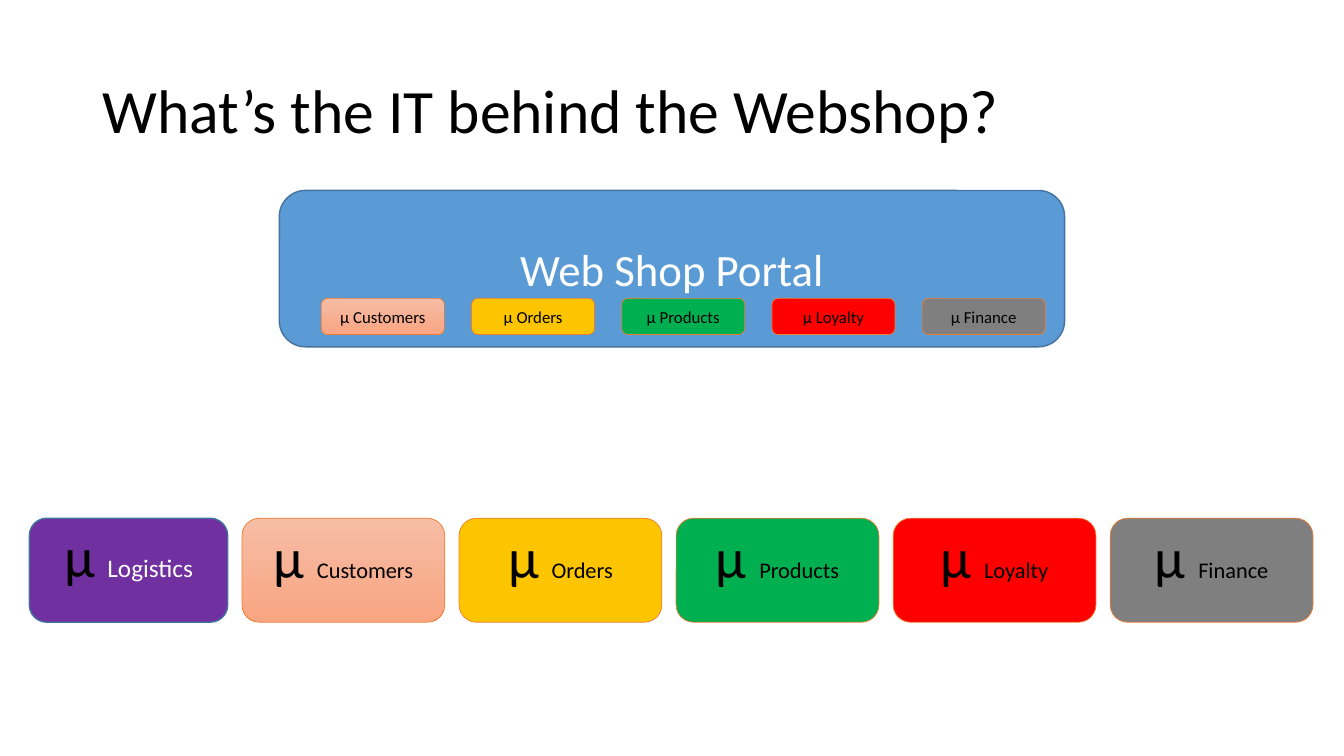
"""Build the slide on the IT services behind the webshop."""
from pptx import Presentation
from pptx.dml.color import RGBColor
from pptx.enum.shapes import MSO_SHAPE
from pptx.enum.text import MSO_ANCHOR, MSO_AUTO_SIZE, PP_ALIGN
from pptx.util import Cm, Pt


def add_span(para, text, size, color):
    span = para.add_run()
    span.text = text
    for name, value in {"name": "Calibri", "size": Pt(size), "bold": False}.items():
        setattr(span.font, name, value)
    span.font.color.rgb = RGBColor.from_string(color)


def add_box(page, place, fills, outline, spans, lift=0):
    box = page.shapes.add_shape(MSO_SHAPE.ROUNDED_RECTANGLE, *[Cm(length) for length in place])
    box.shadow.inherit = False
    if len(fills) == 1:
        box.fill.solid()
        box.fill.fore_color.rgb = RGBColor.from_string(fills[0])
    else:
        box.fill.gradient()
        box.fill.gradient_angle = 270
        for stop, color in zip(box.fill.gradient_stops, fills):
            stop.color.rgb = RGBColor.from_string(color)
    line_color, line_width = outline
    box.line.color.rgb = RGBColor.from_string(line_color)
    box.line.width = Pt(line_width)
    frame_format = {
        "word_wrap": True,
        "vertical_anchor": MSO_ANCHOR.MIDDLE,
        "margin_top": Cm(0 if lift else 0.13),
        "margin_bottom": Cm(lift or 0.13),
    }
    for name, value in frame_format.items():
        setattr(box.text_frame, name, value)
    para = box.text_frame.paragraphs[0]
    para.alignment = PP_ALIGN.CENTER
    for span in spans:
        add_span(para, *span)


BLACK, WHITE = "000000", "FFFFFF"
BLUE_LINE, ORANGE_LINE = ("43739E", 1), ("ED7D31", 0.5)
SERVICES = [
    ("Customers", ["F7BDA5", "F8A582"]),
    ("Orders", ["FDC500"]),
    ("Products", ["00B050"]),
    ("Loyalty", ["FF0000"]),
    ("Finance", ["7F7F7F"]),
]

deck = Presentation()
deck.slide_width, deck.slide_height = Cm(33.87), Cm(19.05)
page = deck.slides.add_slide(deck.slide_layouts[5])

title = page.shapes.title
title_format = {"left": Cm(2.33), "top": Cm(1.01), "width": Cm(29.21), "height": Cm(3.68)}
for name, value in title_format.items():
    setattr(title, name, value)
title.text_frame.auto_size = MSO_AUTO_SIZE.NONE
title.text_frame.vertical_anchor = MSO_ANCHOR.MIDDLE
heading = title.text_frame.paragraphs[0]
heading.alignment = PP_ALIGN.LEFT
heading.line_spacing = 0.9
add_span(heading, "What’s the IT behind the Webshop?", 44, BLACK)

for index, (service, fills) in enumerate(SERVICES):
    place = (6.1 + 5.47 * index, 13.06, 5.11, 2.62)
    add_box(page, place, fills, ORANGE_LINE, [("µ ", 40, BLACK), (service, 16, BLACK)], lift=0.69)

add_box(page, (0.74, 13.06, 5, 2.62), ["7030A0"], BLUE_LINE,
        [("µ ", 40, BLACK), ("Logistics", 18, WHITE)], lift=0.78)
add_box(page, (7.04, 4.8, 19.79, 3.94), ["5B9BD5"], BLUE_LINE, [("Web Shop Portal", 32, WHITE)])

for index, (service, fills) in enumerate(SERVICES):
    place = (8.1 + 3.785 * index, 7.52, 3.1, 0.91)
    add_box(page, place, fills, ORANGE_LINE, [(f"µ {service}", 12, BLACK)])

deck.save("out.pptx")
